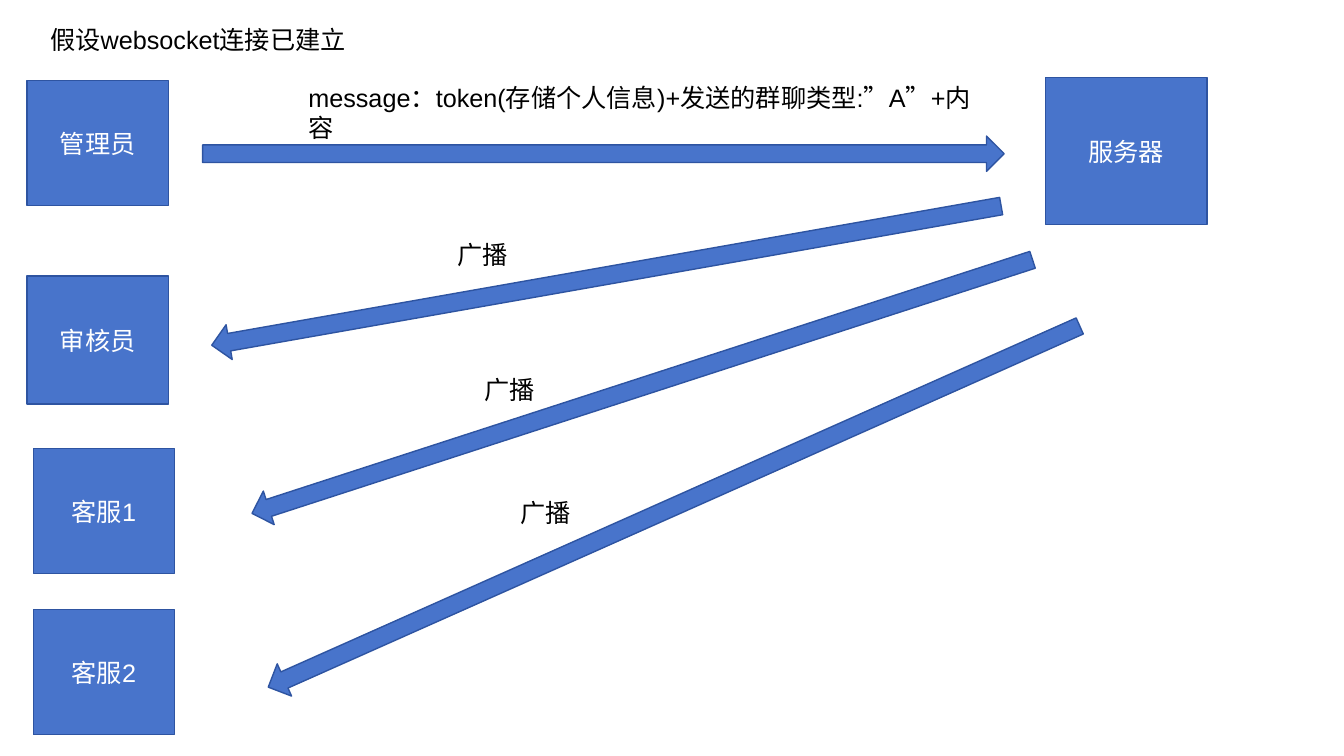
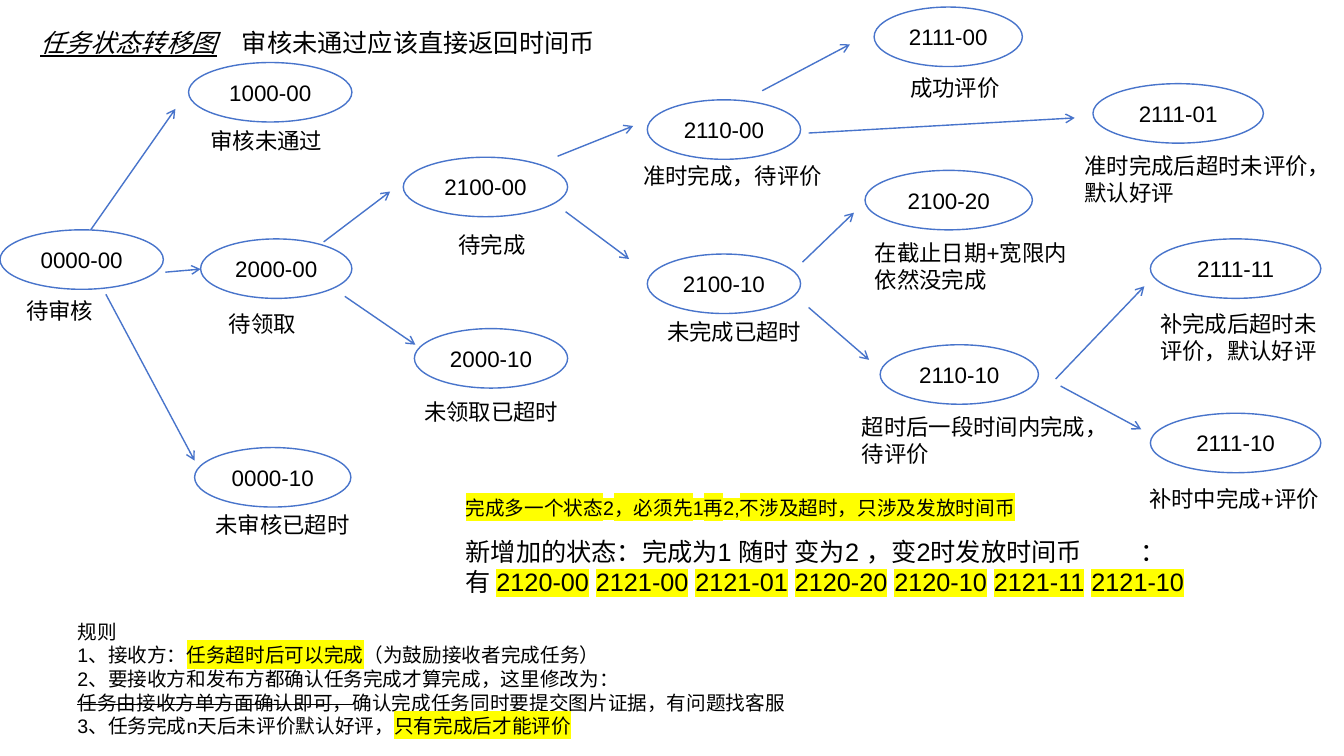
from lxml import etree
from pptx import Presentation
from pptx import util as u
from pptx.dml.color import RGBColor
from pptx.enum import shapes, text
from pptx.oxml.ns import qn

PX = 9144  # 100 px to the inch
BLUE = RGBColor(0x48, 0x74, 0xCB)
NAVY = RGBColor(0x2E, 0x54, 0xA1)
BLACK = RGBColor(0, 0, 0)
WHITE = RGBColor(0xFF, 0xFF, 0xFF)
YELLOW = RGBColor(0xFF, 0xFF, 0)
FONT = "Arial"
MARK, STRIKE, SLANT = "mark", "strike", "slant"


class Deck:
    def __init__(self, wide, high):
        self.prs = Presentation()
        self.prs.slide_width = u.Emu(wide * PX)
        self.prs.slide_height = u.Emu(high * PX)

    def page(self):
        self.slide = self.prs.slides.add_slide(self.prs.slide_layouts[6])

    def style(self, run, size, color, look=None):
        font = run.font
        font.size, font.name = u.Pt(size), FONT
        font.color.rgb = color
        props = font._element
        if look == SLANT:
            font.italic = font.underline = True
        elif look == STRIKE:
            props.set("strike", "sngStrike")
        elif look == MARK:
            glow = etree.Element(qn("a:highlight"))
            etree.SubElement(glow, qn("a:srgbClr")).set("val", str(YELLOW))
            props.find(qn("a:latin")).addprevious(glow)

    def shape(self, kind, box, fill, edge, words="", size=18, color=WHITE, turn=0):
        item = self.slide.shapes.add_shape(kind, *(u.Emu(n * PX) for n in box))
        item.shadow.inherit = False
        item.rotation = turn
        if fill is None:
            item.fill.background()
        else:
            item.fill.solid()
            item.fill.fore_color.rgb = fill
        item.line.color.rgb, item.line.width = edge, u.Pt(1)
        if words:
            frame = item.text_frame
            frame.text = words
            frame.vertical_anchor = text.MSO_ANCHOR.MIDDLE
            para = frame.paragraphs[0]
            para.alignment = text.PP_ALIGN.CENTER
            self.style(para.runs[0], size, color)

    def block(self, words, box):
        self.shape(shapes.MSO_SHAPE.RECTANGLE, box, BLUE, NAVY, words)

    def arrow(self, box, turn=0):
        self.shape(shapes.MSO_SHAPE.RIGHT_ARROW, box, BLUE, NAVY, turn=turn)

    def state(self, code, x, y, wide):
        self.shape(shapes.MSO_SHAPE.OVAL, (x, y, wide, 59), None, BLUE, code, 16, BLACK)

    def note(self, lines, box, size=18, grow=True):
        """Each line is a list of (words, look) parts."""
        item = self.slide.shapes.add_textbox(*(u.Emu(n * PX) for n in box))
        frame = item.text_frame
        frame.word_wrap = True
        if grow:
            frame.auto_size = text.MSO_AUTO_SIZE.SHAPE_TO_FIT_TEXT
        for i, parts in enumerate(lines):
            para = frame.add_paragraph() if i else frame.paragraphs[0]
            for words, look in parts:
                run = para.add_run()
                run.text = words
                self.style(run, size, BLACK, look)
        return frame

    def label(self, words, box, size=18, look=None):
        self.note([[(words, look)]], box, size)

    def tab(self, para, x):
        tabs = etree.SubElement(para._p.get_or_add_pPr(), qn("a:tabLst"))
        stop = etree.SubElement(tabs, qn("a:tab"))
        stop.set("pos", str(x * PX))
        stop.set("algn", "l")

    def link(self, *ends):
        line = self.slide.shapes.add_connector(
            shapes.MSO_CONNECTOR.STRAIGHT, *(u.Emu(n * PX) for n in ends))
        line.line.color.rgb, line.line.width = BLUE, u.Pt(1)
        etree.SubElement(line.line._get_or_add_ln(), qn("a:tailEnd")).set("type", "arrow")
        etree.SubElement(line._element.spPr, qn("a:effectLst"))


def chat(deck):
    deck.page()
    # Roles and server
    for words, *box in (
        ("管理员", 27, 80, 140, 124),
        ("审核员", 27, 274, 140, 127),
        ("客服1", 33, 445, 140, 124),
        ("客服2", 33, 605, 140, 124),
        ("服务器", 1037, 77, 160, 146),
    ):
        deck.block(words, box)
    # Message out, broadcasts back
    for x, y, wide, turn in ((201, 135, 795, 0), (204, 256, 795, 170),
                             (230, 366, 814, 162), (228, 485, 881, 156)):
        deck.arrow((x, y, wide, 35), turn)
    deck.label("假设websocket连接已建立", (40, 19, 332, 40))
    deck.label("message：token(存储个人信息)+发送的群聊类型:”A”+内容", (296, 77, 695, 40))
    for x, y in ((444, 233), (471, 366), (506, 488)):
        deck.label("广播", (x, y, 444, 40))


def flow(deck):
    deck.page()
    # Heading
    deck.label("任务状态转移图", (30, 22, 200, 40), look=SLANT)
    deck.label("审核未通过应该直接返回时间币", (230, 22, 372, 40))
    # States: code, oval x, y, width; caption, its x, y, width, height
    for code, x, y, wide, words, *box in (
        ("0000-00", 0, 228, 162, "待审核", 16, 290, 102, 37),
        ("1000-00", 187, 62, 162, "审核未通过", 199, 121, 156, 37),
        ("2000-00", 199, 237, 150, "待领取", 217, 303, 125, 37),
        ("0000-10", 193, 444, 155, "未审核已超时", 204, 502, 168, 37),
        ("2100-00", 400, 156, 163, "待完成", 445, 224, 103, 37),
        ("2000-10", 411, 326, 152, "未领取已超时", 411, 390, 167, 37),
        ("2110-00", 642, 99, 152, "准时完成，待评价", 628, 156, 219, 37),
        ("2100-10", 642, 252, 152, "未完成已超时", 652, 311, 170, 37),
        ("2111-00", 867, 7, 147, "成功评价", 893, 69, 127, 37),
        ("2100-20", 858, 169, 166, "在截止日期+宽限内依然没完成", 858, 232, 226, 64),
        ("2110-10", 873, 342, 157, "超时后一段时间内完成，待评价", 845, 405, 243, 64),
        ("2111-01", 1084, 83, 169, "准时完成后超时未评价，默认好评", 1066, 146, 256, 64),
        ("2111-11", 1141, 237, 169, "补完成后超时未评价，默认好评", 1141, 303, 181, 64),
        ("2111-10", 1141, 410, 169, "补时中完成+评价", 1130, 476, 192, 37),
    ):
        deck.state(code, x, y, wide)
        deck.label(words, box, 16)
    # Transitions
    for ends in (
        (90, 228, 174, 108), (164, 270, 199, 267), (105, 292, 193, 457),
        (321, 240, 387, 190), (342, 294, 412, 342), (553, 155, 628, 125),
        (561, 210, 624, 257), (756, 90, 843, 44), (802, 132, 1066, 117),
        (796, 260, 847, 211), (802, 305, 862, 357), (1047, 376, 1135, 284),
        (1052, 383, 1132, 426),
    ):
        deck.link(*ends)
    # Added states
    deck.label("完成多一个状态2，必须先1再2,不涉及超时，只涉及发放时间币",
               (452, 487, 574, 34), 14, MARK)
    codes = [("有 ", None)]
    for code in ("2120-00", "2121-00", "2121-01", "2120-20",
                 "2120-10", "2121-11", "2121-10"):
        codes += [(code, MARK), (" ", None)]
    frame = deck.note(
        [[("新增加的状态：完成为1 随时 变为2 ，变2时发放时间币\t：", None)], codes[:-1]],
        (452, 527, 787, 91), grow=False)
    deck.tab(frame.paragraphs[0], 669)
    # Rules
    deck.note([
        [("规则", None)],
        [("1、接收方：", None), ("任务超时后可以完成", MARK),
         ("（为鼓励接收者完成任务）", None)],
        [("2、要接收方和发布方都确认任务完成才算完成，这里修改为：", None)],
        [("任务由接收方单方面确认即可，", STRIKE),
         ("确认完成任务同时要提交图片证据，有问题找客服", None)],
        [("3、任务完成n天后未评价默认好评，", None), ("只有完成后才能评价", MARK)],
    ], (67, 610, 1221, 128), 14)


def main():
    deck = Deck(1333, 750)
    chat(deck)
    flow(deck)
    deck.prs.save("out.pptx")


if __name__ == "__main__":
    main()
